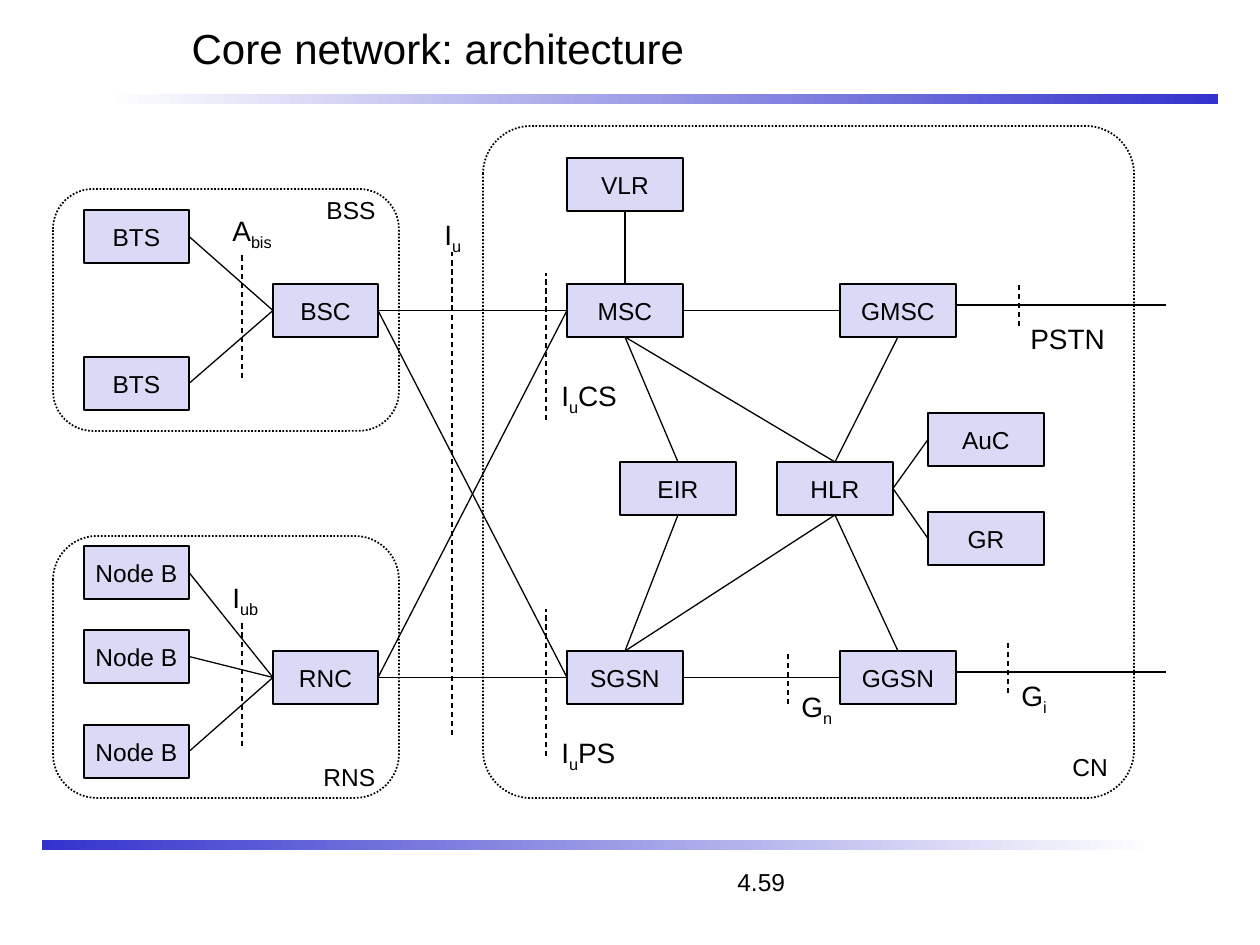
from lxml.etree import SubElement
from pptx import Presentation
from pptx.dml.color import RGBColor
from pptx.enum.dml import MSO_LINE_DASH_STYLE as Dash
from pptx.enum.shapes import MSO_CONNECTOR as Connector, MSO_SHAPE as Shape
from pptx.enum.text import MSO_ANCHOR as Anchor, PP_ALIGN as Align
from pptx.oxml.ns import qn
from pptx.util import Emu, Pt

TITLE = "Core network: architecture"
FONT, BLACK, WHITE, BLUE, LAVENDER = "Arial", "000000", "FFFFFF", "3333CC", "DADAF6"
ACCESS_WIDTH, CORE_WIDTH, NODE_HEIGHT = 105, 116, 53
TOP, LEFT, BOTTOM, RIGHT = range(4)  # connection sites of a rectangle

# left, top, start colour, end colour
BARS = [(105, 94, WHITE, BLUE), (42, 840, BLUE, WHITE)]

# left, top, width, height, corner radius
FRAMES = [
    (483, 126, 651, 672, 48),
    (53, 536, 346, 262, 44),
    (53, 189, 346, 242, 40),
]

# key: text, left, top
ACCESS_NODES = {
    "bts1": ("BTS", 84, 210),
    "bts2": ("BTS", 84, 357),
    "bsc": ("BSC", 273, 284),
    "node1": ("Node B", 84, 546),
    "node2": ("Node B", 84, 630),
    "node3": ("Node B", 84, 725),
    "rnc": ("RNC", 273, 651),
}
CORE_NODES = {
    "vlr": ("VLR", 567, 158),
    "msc": ("MSC", 567, 284),
    "gmsc": ("GMSC", 840, 284),
    "eir": ("EIR", 620, 462),
    "hlr": ("HLR", 777, 462),
    "auc": ("AuC", 928, 413),
    "gr": ("GR", 928, 512),
    "sgsn": ("SGSN", 567, 651),
    "ggsn": ("GGSN", 840, 651),
}

LINKS = [
    ("bts1", RIGHT, "bsc", LEFT), ("bts2", RIGHT, "bsc", LEFT),
    ("node1", RIGHT, "rnc", LEFT), ("node2", RIGHT, "rnc", LEFT),
    ("node3", RIGHT, "rnc", LEFT),
    ("bsc", RIGHT, "msc", LEFT), ("bsc", RIGHT, "sgsn", LEFT),
    ("rnc", RIGHT, "msc", LEFT), ("rnc", RIGHT, "sgsn", LEFT),
    ("vlr", BOTTOM, "msc", TOP), ("msc", RIGHT, "gmsc", LEFT),
    ("msc", BOTTOM, "eir", TOP), ("msc", BOTTOM, "hlr", TOP),
    ("gmsc", BOTTOM, "hlr", TOP),
    ("hlr", RIGHT, "auc", LEFT), ("hlr", RIGHT, "gr", LEFT),
    ("eir", BOTTOM, "sgsn", TOP), ("hlr", BOTTOM, "sgsn", TOP),
    ("hlr", BOTTOM, "ggsn", TOP), ("sgsn", RIGHT, "ggsn", LEFT),
]
OUTSIDE_LINES = [(956, 1166, 305), (956, 1166, 672)]  # from x, to x, y

# x, top, bottom
INTERFACE_LINES = [
    (242, 252, 378), (242, 620, 746), (452, 252, 735), (546, 273, 420),
    (546, 609, 756), (788, 651, 704), (1008, 641, 693), (1019, 284, 326),
]

# left, top, width, size, text parts: every second part is a subscript
LABELS = [
    (314, 189, 84, 14, ["BSS"]),
    (311, 756, 86, 14, ["RNS"]),
    (1060, 746, 72, 14, ["CN"]),
    (220, 207, 78, 16, ["A", "bis"]),
    (220, 574, 66, 16, ["I", "ub"]),
    (432, 211, 56, 16, ["I", "u"]),
    (549, 372, 110, 16, ["I", "u", "CS"]),
    (549, 729, 110, 16, ["I", "u", "PS"]),
    (789, 683, 70, 16, ["G", "n"]),
    (1009, 672, 66, 16, ["G", "i"]),
    (1018, 315, 114, 16, ["PSTN"]),
    (725, 861, 100, 14, ["4.59"]),
]


def px(value):
    return Emu(round(value * 914400 / 126))


def color(value):
    return RGBColor.from_string(value)


def set_font(para, size):
    para.font.name = FONT
    para.font.size = Pt(size)
    para.font.color.rgb = color(BLACK)


def set_line(line, width, dash=None):
    line.color.rgb = color(BLACK)
    line.width = Pt(width)
    if dash:
        line.dash_style = dash


def add_block(page, kind, *place):
    block = page.shapes.add_shape(kind, *map(px, place))
    block.shadow.inherit = False
    return block


def add_bar(page, left, top, start, end):
    bar = add_block(page, Shape.RECTANGLE, left, top, 1113, 10)
    bar.line.fill.background()
    bar.fill.gradient()
    bar.fill.gradient_angle = 0
    for stop, value, position in zip(bar.fill.gradient_stops, (start, end), (0, 1)):
        stop.color.rgb = color(value)
        stop.position = position


def add_frame(page, left, top, width, height, radius):
    frame = add_block(page, Shape.ROUNDED_RECTANGLE, left, top, width, height)
    frame.adjustments[0] = radius / min(width, height)
    frame.fill.background()
    set_line(frame.line, 1, Dash.ROUND_DOT)


def add_node(page, text, left, top, width):
    node = add_block(page, Shape.RECTANGLE, left, top, width, NODE_HEIGHT)
    node.fill.solid()
    node.fill.fore_color.rgb = color(LAVENDER)
    set_line(node.line, 0.75)
    box = node.text_frame
    box.word_wrap = False
    box.vertical_anchor = Anchor.MIDDLE
    para = box.paragraphs[0]
    para.text = text
    para.alignment = Align.CENTER
    set_font(para, 14)
    return node


def add_line(page, *ends, dash=None):
    line = page.shapes.add_connector(Connector.STRAIGHT, *map(px, ends))
    set_line(line.line, 0.75, dash)
    SubElement(line._element.spPr, qn("a:effectLst"))
    return line


def add_label(page, left, top, width, size, parts):
    height = 51 if size == 16 else 43
    box = page.shapes.add_textbox(*map(px, (left, top, width, height))).text_frame
    box.word_wrap = True
    para = box.paragraphs[0]
    set_font(para, size)
    for index, part in enumerate(parts):
        span = para.add_run()
        span.text = part
        if index % 2:
            span._r.get_or_add_rPr().set("baseline", "-25000")


def add_title(page):
    title = page.shapes.title
    title.left, title.top, title.width, title.height = map(px, (179, 0, 1061, 95))
    box = title.text_frame
    box.vertical_anchor = Anchor.MIDDLE
    para = box.paragraphs[0]
    para.text = TITLE
    para.alignment = Align.LEFT
    set_font(para, 24)


def main():
    deck = Presentation()
    deck.slide_width, deck.slide_height = px(1260), px(945)
    page = deck.slides.add_slide(deck.slide_layouts[5])
    add_title(page)
    for bar in BARS:
        add_bar(page, *bar)
    for frame in FRAMES:
        add_frame(page, *frame)
    nodes = {}
    for group, width in ((ACCESS_NODES, ACCESS_WIDTH), (CORE_NODES, CORE_WIDTH)):
        for key, node in group.items():
            nodes[key] = add_node(page, *node, width)
    for start, start_site, end, end_site in LINKS:
        link = add_line(page, 0, 0, 0, 0)
        link.begin_connect(nodes[start], start_site)
        link.end_connect(nodes[end], end_site)
    for start, end, y in OUTSIDE_LINES:
        add_line(page, start, y, end, y)
    for x, top, bottom in INTERFACE_LINES:
        add_line(page, x, bottom, x, top, dash=Dash.DASH)
    for label in LABELS:
        add_label(page, *label)
    deck.save("out.pptx")


if __name__ == "__main__":
    main()
